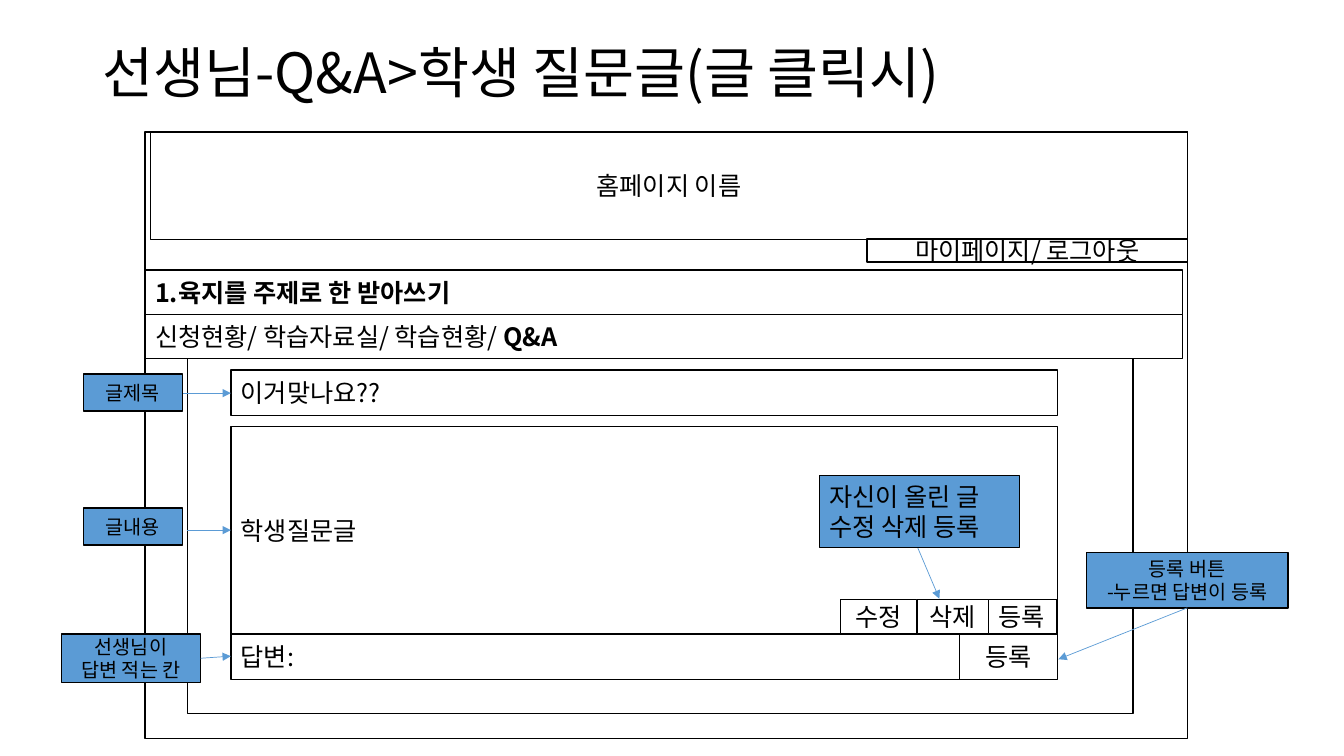
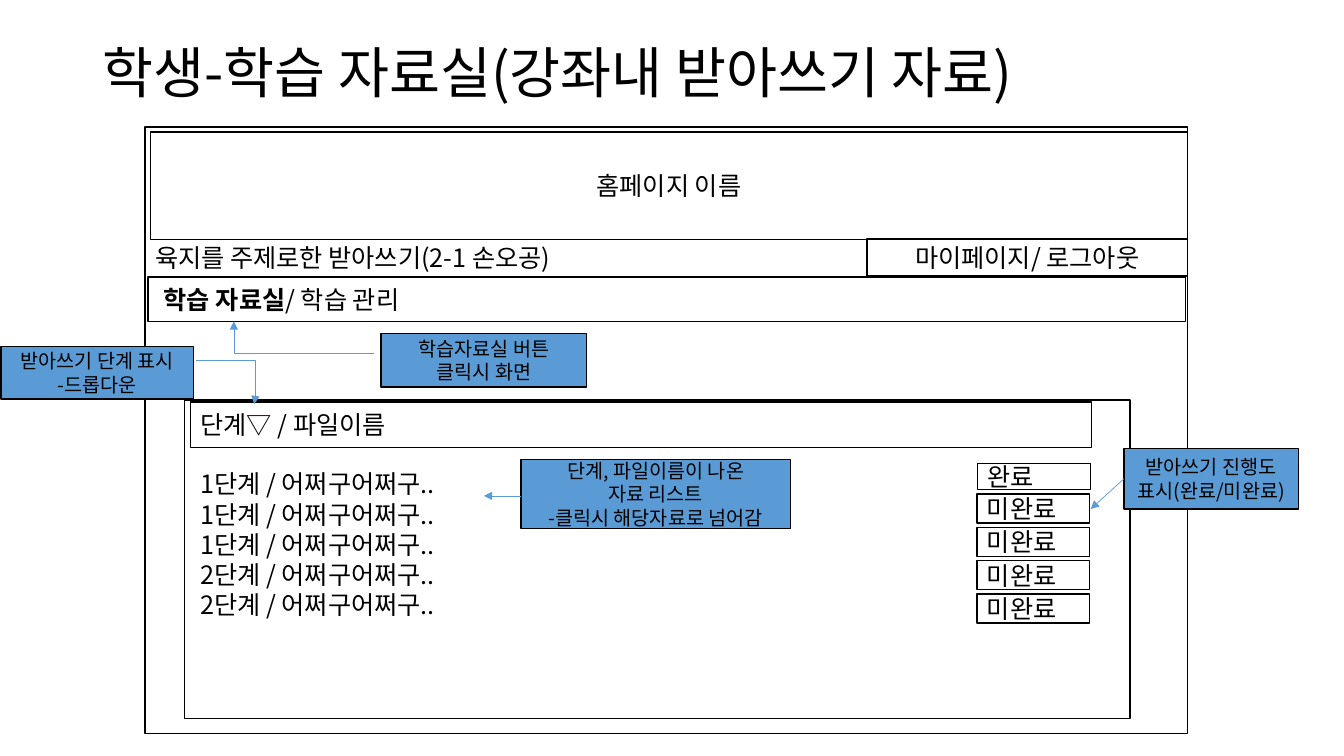
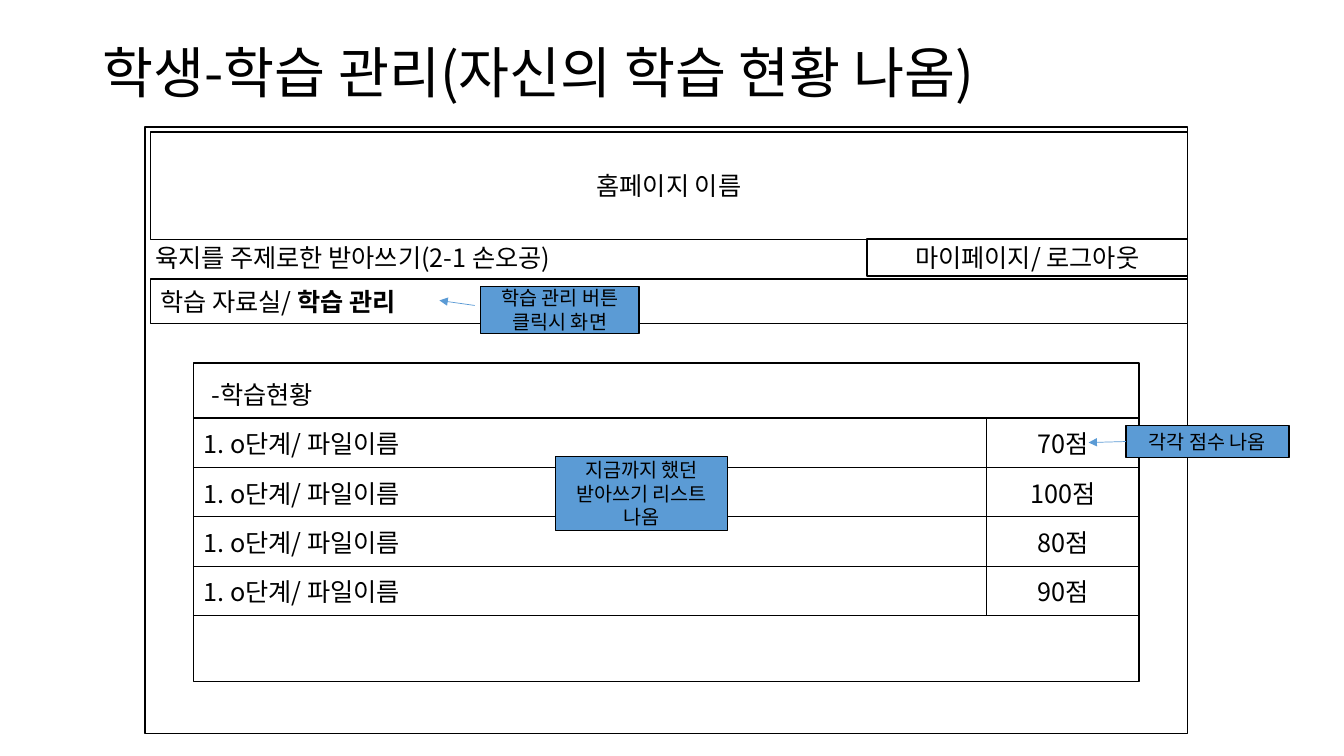
"""Build three wireframe slides for a dictation-learning site."""
from lxml import etree
from pptx import Presentation
from pptx import util as u
from pptx.dml.color import RGBColor
from pptx.enum import shapes, text
from pptx.oxml.ns import qn

Pt = u.Pt
FONT = "Noto Sans CJK KR"
C = {"ink": "000000", "paper": "FFFFFF", "note": "5B9BD5"}
LEFT, CENTER = text.PP_ALIGN.LEFT, text.PP_ALIGN.CENTER
MIDDLE = text.MSO_ANCHOR.MIDDLE


def rgb(name):
    """Return a palette colour."""
    return RGBColor.from_string(C[name])


def style(p, size, align, bold=False):
    """Format the runs of a paragraph."""
    p.alignment = align
    for r in p.runs:
        f = r.font
        f.name, f.size, f.bold = FONT, Pt(size), bold
        f.color.rgb = rgb("ink")
        etree.SubElement(r._r.get_or_add_rPr(), qn("a:ea"), typeface=FONT)


def write(tf, content, size=18, align=LEFT):
    """Fill a frame with one paragraph per line, bold between asterisks."""
    tf.word_wrap, tf.vertical_anchor = True, MIDDLE
    tf.auto_size = text.MSO_AUTO_SIZE.NONE
    tf.text = content.replace("*", "")
    for p, line in zip(tf.paragraphs, content.split("\n")):
        if "*" in line:
            p.text = ""
            for part in filter(None, line.split("*")):
                p.add_run().text = part
        style(p, size, align)
        for r in p.runs:
            r.font.bold = f"*{r.text}*" in line


def box(s, x, y, w, h, content="", align=LEFT, size=18, fill="paper", line=1):
    """Draw an outlined rectangle with optional text."""
    sp = s.shapes.add_shape(shapes.MSO_SHAPE.RECTANGLE, Pt(x), Pt(y), Pt(w), Pt(h))
    sp.shadow.inherit = False
    sp.fill.solid()
    sp.fill.fore_color.rgb = rgb(fill)
    if line:
        sp.line.color.rgb, sp.line.width = rgb("ink"), Pt(line)
    else:
        sp.line.fill.background()
    if content:
        write(sp.text_frame, content, size, align)
    return sp


def note(s, x, y, w, h, content):
    """Draw a blue explanatory note."""
    return box(s, x, y, w, h, content, CENTER, 14, "note")


def arrow(s, x1, y1, x2, y2, bend=None):
    """Draw a thin arrow, elbowed where a bend is given."""
    kind = shapes.MSO_CONNECTOR.STRAIGHT if bend is None else shapes.MSO_CONNECTOR.ELBOW
    cx = s.shapes.add_connector(kind, Pt(x1), Pt(y1), Pt(x2), Pt(y2))
    cx.line.color.rgb, cx.line.width = rgb("note"), Pt(0.5)
    etree.SubElement(cx.line._get_or_add_ln(), qn("a:tailEnd"), type="triangle")
    spPr = cx._element.spPr
    etree.SubElement(spPr, qn("a:effectLst"))
    if bend is not None:
        geom = spPr.find(qn("a:prstGeom"))
        av = geom.find(qn("a:avLst"))
        if av is None:
            av = etree.SubElement(geom, qn("a:avLst"))
        etree.SubElement(av, qn("a:gd"), name="adj1", fmla=f"val {round(bend * 100000)}")


def annotate(s, x, y, notes, arrows):
    """Place notes and arrows relative to a region's corner."""
    for dx, dy, w, h, content in notes:
        note(s, x + dx, y + dy, w, h, content)
    for x1, y1, x2, y2, *bend in arrows:
        arrow(s, x + x1, y + y1, x + x2, y + y2, *bend)


def new_slide(prs, title):
    """Add a slide and format its title."""
    s = prs.slides.add_slide(prs.slide_layouts[5])
    sp = s.shapes.title
    sp.left, sp.top, sp.width, sp.height = Pt(66), Pt(28.8), Pt(803), Pt(50.4)
    write(sp.text_frame, title, 39.6)
    sp.text_frame.paragraphs[0].line_spacing = 0.9
    return s


def page(s, x, y, w, h, gap, account_h):
    """Draw the page frame with its site header and account links."""
    box(s, x, y, w, h)
    box(s, x + 3.6, y + gap, w - 3.6, 77, "홈페이지 이름", CENTER)
    box(s, x + w - 229, y + gap + 76.4, 229, account_h, "마이페이지/ 로그아웃", CENTER)


def student_page(s, x, y, w, h):
    """Draw the page frame with the course name of a student."""
    page(s, x, y, w, h, 3.6, 26.4)
    sp = s.shapes.add_textbox(Pt(x), Pt(y + 78.5), Pt(512), Pt(28.8))
    write(sp.text_frame, "육지를 주제로한 받아쓰기(2-1 손오공)")


def nav(s, x, y, w, content):
    """Draw one navigation row."""
    return box(s, x, y, w, 31.7, content)


def thread(s, x, y, w, h):
    """Draw a question with its answer field and notes."""
    box(s, x, y, w, h)
    left, width = x + 31, 590.4
    button_w = 69.8
    box(s, left, y + 16.6, width, 32.4, "이거맞나요??")
    box(s, left, y + 56.9, width, 148.3, "학생질문글")
    box(s, left, y + 205.2, width - button_w, 32.4, "답변:")
    box(s, left + width - button_w, y + 205.2, button_w, 32.4, "등록", CENTER)
    for dx, bw, label in [(570.2, 51, "등록"), (466.6, 54, "수정"), (521.3, 51, "삭제")]:
        box(s, x + dx, y + 180.7, bw, 24.2, label, CENTER)
    annotate(s, x, y, [
        (-74.2, 19.4, 70.6, 26.6, "글제목"),
        (-74.2, 115.2, 70.6, 26.6, "글내용"),
        (642.2, 146.9, 144, 39.6, "등록 버튼\n-누르면 답변이 등록"),
        (-90, 205.2, 99.4, 34.6, "선생님이\n답변 적는 칸"),
    ], [
        (-2.9, 33.1, 31, 33.1),
        (0, 131, 31, 131),
        (9.4, 222.5, 31, 221),
        (714.2, 186.5, 622.1, 223.2),
        (520.6, 141.1, 537.1, 180),
    ])
    box(s, x + 451.4, y + 92.2, 142.6, 51.1, "자신이 올린 글 수정 삭제 등록",
        fill="note", line=0.75)


def materials(s, x, y, w, h):
    """Draw the file list with progress marks and notes."""
    steps = [1, 1, 1, 2, 2]
    sp = box(s, x, y, w, h, "\n".join(f"{n}단계 / 어쩌구어쩌구.." for n in steps))
    sp.text_frame.margin_left, sp.text_frame.margin_bottom = Pt(11.2), Pt(25.2)
    box(s, x + 4.3, y + 1.4, 643.7, 32.4, "단계▽ / 파일이름")
    box(s, x + 566.6, y + 45.4, 80.6, 18.7, "완료")
    for i in range(4):
        box(s, x + 566, y + 67 + 23.8 * i, 80.6, 20.9, "미완료")
    annotate(s, x, y, [
        (140.4, -47.5, 146.9, 38.2, "학습자료실 버튼\n클릭시 화면"),
        (-131, -38.2, 137.5, 37.4, "받아쓰기 단계 표시\n-드롭다운"),
        (671, 34.6, 124.6, 43.2, "받아쓰기 진행도 표시(완료/미완료)"),
        (240.5, 42.5, 192.2, 49, "단계, 파일이름이 나온\n자료 리스트\n-클릭시 해당자료로 넘어감"),
    ], [
        (135.4, -33.1, 35.3, -56.2, 1),
        (7.9, -28.1, 49.7, 2.9, 1.02),
        (671, 56.2, 647.3, 77.8),
        (240.5, 68.4, 213.8, 68.4),
    ])


def border(cell):
    """Outline a table cell."""
    tcPr = cell._tc.get_or_add_tcPr()
    for i, side in enumerate(("lnL", "lnR", "lnT", "lnB")):
        ln = etree.Element(qn(f"a:{side}"), w=str(Pt(1)))
        fill = etree.SubElement(ln, qn("a:solidFill"))
        etree.SubElement(fill, qn("a:srgbClr"), val=C["ink"])
        tcPr.insert(i, ln)


def scores(s, x, y, w, h):
    """Draw the score table with its heading and notes."""
    box(s, x, y, w, h)
    box(s, x + 5.8, y + 7.9, 221.8, 29.5, "-학습현황", line=0)
    points, row_h, score_w = [70, 100, 80, 90], 35.3, 108.7
    tbl = s.shapes.add_table(len(points), 2, Pt(x), Pt(y + 39.4), Pt(w),
                             Pt(row_h * len(points))).table
    tbl.first_row = tbl.horz_banding = False
    tbl.columns[0].width, tbl.columns[1].width = Pt(w - score_w), Pt(score_w)
    for row, value in zip(tbl.rows, points):
        row.height = Pt(row_h)
        labels = [("1. o단계/ 파일이름", LEFT), (f"{value}점", CENTER)]
        for cell, (label, align) in zip(row.cells, labels):
            cell.text_frame.text = label
            cell.vertical_anchor = MIDDLE
            cell.fill.solid()
            cell.fill.fore_color.rgb = rgb("paper")
            style(cell.text_frame.paragraphs[0], 18, align)
            border(cell)
    annotate(s, x, y, [
        (205.2, -54.7, 113, 33.8, "학습 관리 버튼\n클릭시 화면"),
        (258.5, 67, 123.1, 52.6, "지금까지 했던\n받아쓰기 리스트 나옴"),
        (666, 44.6, 116.6, 23, "각각 점수 나옴"),
    ], [
        (200.9, -41, 175.7, -44.6),
        (666, 56.2, 639.4, 56.9),
    ])


def main():
    """Build and save the slides."""
    prs = Presentation()
    prs.slide_width, prs.slide_height = Pt(960), Pt(540)
    x, w, h, nav_w = 103.7, 744.5, 433.4, 740.9

    s = new_slide(prs, "선생님-Q&A>학생 질문글(글 클릭시)")
    page(s, x, 94.3, w, h, 0, 16.6)
    thread(s, 133.9, 247.7, 675.4, 262.1)
    nav(s, x, 224.6, nav_w, "신청현황/ 학습자료실/ 학습현황/ *Q&A*")
    nav(s, x, 193, nav_w, "*1.육지를 주제로 한 받아쓰기*")

    s = new_slide(prs, "학생-학습 자료실(강좌내 받아쓰기 자료)")
    student_page(s, x, 90.7, w, h)
    sp = nav(s, x + 2.1, 198, nav_w, "*학습 자료실*/ 학습 관리")
    sp.text_frame.margin_left = Pt(11.2)
    materials(s, 131.8, 285.8, 675.4, 227.5)

    s = new_slide(prs, "학생-학습 관리(자신의 학습 현황 나옴)")
    student_page(s, x, 90.7, w, h)
    nav(s, x + 3.6, 199.4, nav_w, "학습 자료실/ *학습 관리*")
    scores(s, 138.2, 259.2, 675.4, 227.5)

    prs.save("out.pptx")


if __name__ == "__main__":
    main()
